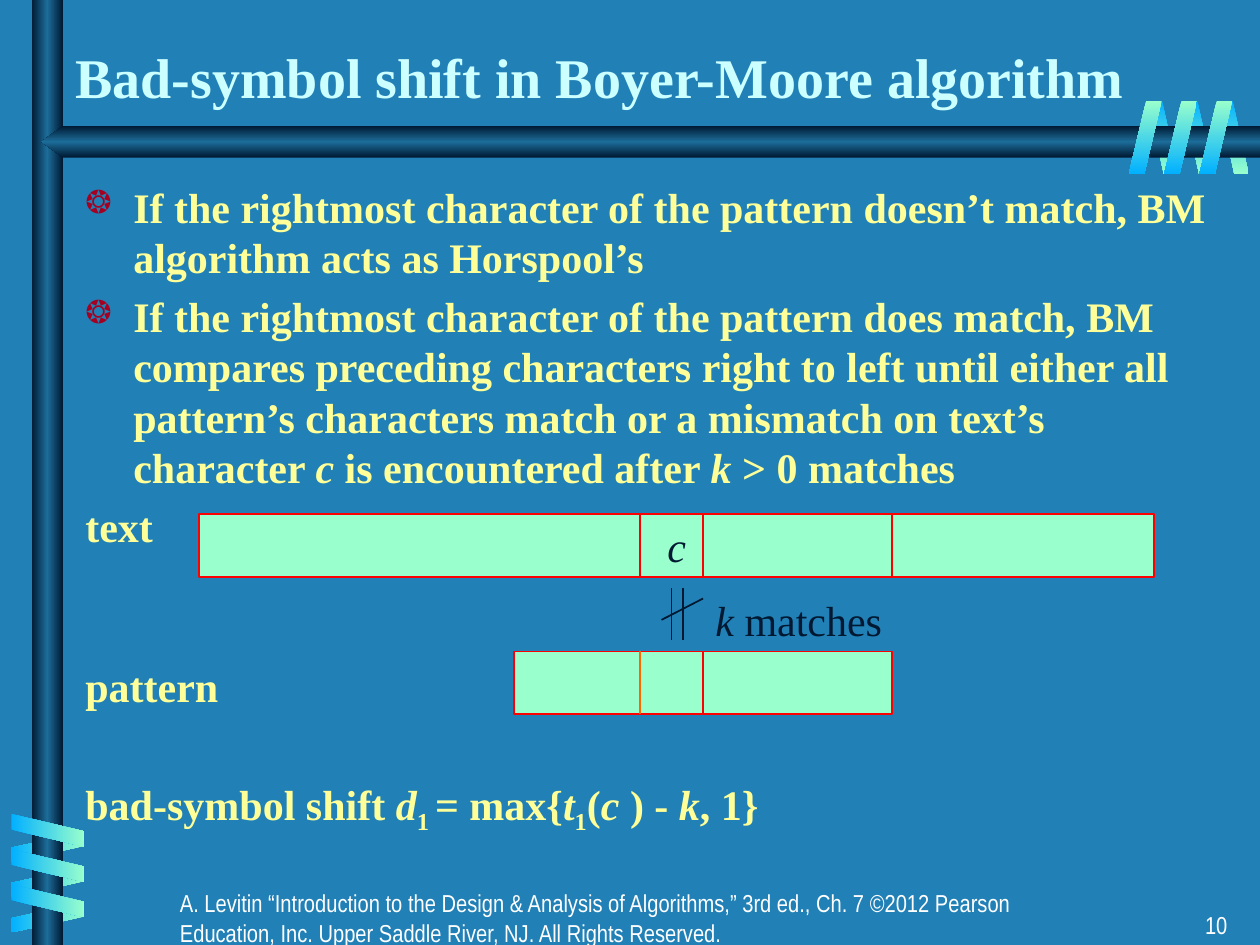
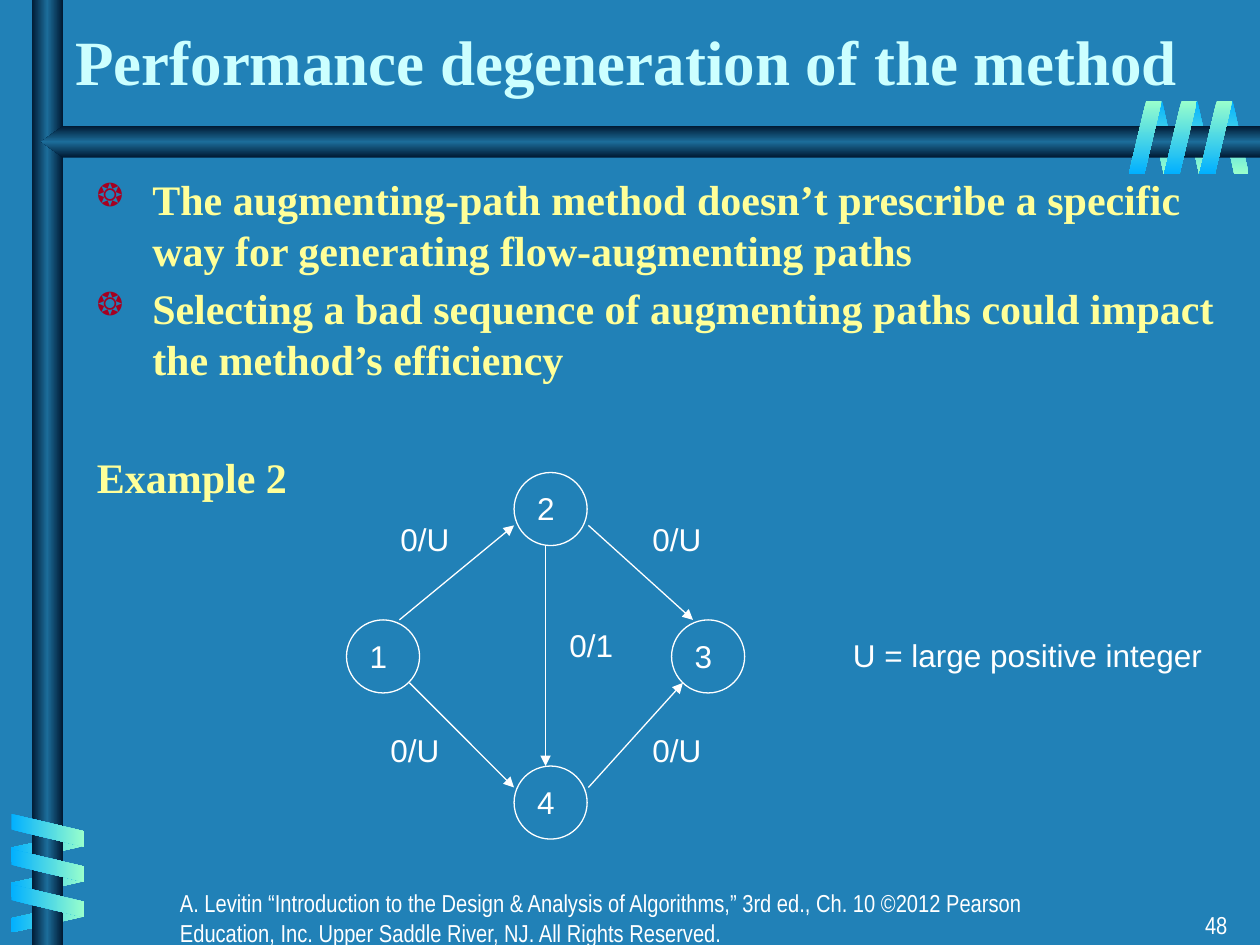
from copy import deepcopy
from dataclasses import dataclass
from typing import NamedTuple

from pptx import Presentation
from pptx.dml.color import RGBColor
from pptx.enum.shapes import MSO_CONNECTOR, MSO_SHAPE
from pptx.enum.text import MSO_ANCHOR, PP_ALIGN
from pptx.oxml.ns import qn
from pptx.util import Inches, Pt
from lxml.etree import SubElement

BLUE = RGBColor(0x21, 0x81, 0xB7)
NAVY = RGBColor(0x00, 0x19, 0x32)
STEEL = RGBColor(0x1C, 0x6D, 0x9A)
SKY = RGBColor(0x01, 0xB0, 0xFF)
MINT = RGBColor(0x99, 0xFF, 0xCC)
ICE = RGBColor(0xCC, 0xFF, 0xFF)
CREAM = RGBColor(0xFF, 0xFF, 0x99)
WHITE = RGBColor(0xFF, 0xFF, 0xFF)
RED = RGBColor(0xFF, 0x00, 0x00)
ORANGE = RGBColor(0xFF, 0x66, 0x00)
WINE = RGBColor(0xA5, 0x00, 0x21)
SERIF, SANS, NARROW = "Times New Roman", "Arial", "Arial Narrow"
GAP = 4.8


class Box(NamedTuple):
    left: float
    top: float
    wide: float
    high: float


class Bit(NamedTuple):
    words: str
    slant: bool = False
    drop: bool = False


class Para(NamedTuple):
    bits: list[Bit]
    mark: bool = False
    before: float = GAP


@dataclass(frozen=True)
class Band:
    kind: MSO_SHAPE
    box: Box
    tones: tuple
    angle: int
    turn: int = 0
    flip: bool = False
    adjust: float = 0
    count: int = 1
    across: float = 0
    down: float = 0


STEP = 0.28
SLANT = MSO_SHAPE.PARALLELOGRAM
STEEL_TONES = (NAVY, STEEL, NAVY)
BANDS = [
    Band(SLANT, Box(9.11, 0.8, 0.24, 0.58), (SKY, MINT), 90, 180, True, 0.53, 3, across=STEP),
    Band(SLANT, Box(0.26, 6.43, 0.24, 0.58), (MINT, SKY), 0, 90, True, 0.53, 3, down=STEP),
    Band(MSO_SHAPE.RECTANGLE, Box(0.25, 0, 0.25, 7.5), STEEL_TONES, 0),
    Band(MSO_SHAPE.PENTAGON, Box(0.33, 1, 9.67, 0.25), STEEL_TONES, 90, 0, True, 0.68),
    Band(SLANT, Box(0.25, 6.3, 0.26, 0.58), (SKY, MINT), 0, 270, False, 0.53, 3, down=STEP),
    Band(SLANT, Box(8.96, 0.8, 0.26, 0.58), (MINT, SKY), 90, 0, False, 0.53, 3, across=STEP),
]


def add_mark(para) -> None:
    props = para._p.get_or_add_pPr()
    color = SubElement(props, qn("a:buClr"))
    SubElement(color, qn("a:srgbClr"), val=str(WINE))
    SubElement(props, qn("a:buSzPct"), val="75000")
    SubElement(props, qn("a:buChar"), char="❂")


def write(shape, paras: list[Para] | str, *, face=SANS, size=18, color=WHITE, bold=False,
          align=PP_ALIGN.LEFT, anchor=MSO_ANCHOR.TOP, wrap=True, hang=0.0) -> None:
    if isinstance(paras, str):
        paras = [Para([Bit(paras)])]
    frame = shape.text_frame
    frame.word_wrap = wrap
    frame.vertical_anchor = anchor
    for place, item in enumerate(paras):
        para = frame.paragraphs[0] if place == 0 else frame.add_paragraph()
        para.alignment = align
        if place:
            para.space_before = Pt(item.before)
        if hang:
            props = para._p.get_or_add_pPr()
            props.set("marL", str(Inches(hang)))
            props.set("indent", str(-Inches(hang)))
        if item.mark:
            add_mark(para)
        for bit in item.bits:
            run = para.add_run()
            run.text = bit.words
            font = run.font
            font.name, font.size, font.bold = face, Pt(size), bold
            font.italic = bit.slant
            font.color.rgb = color
            if bit.drop:
                run._r.get_or_add_rPr().set("baseline", "-25000")


def add_text(slide, box: Box, paras: list[Para] | str, **style) -> None:
    write(slide.shapes.add_textbox(*map(Inches, box)), paras, **style)


def add_shape(slide, kind: MSO_SHAPE, box: Box, fill=None, edge=None, width=1.0):
    shape = slide.shapes.add_shape(kind, *map(Inches, box))
    shape.shadow.inherit = False
    if fill is None:
        shape.fill.background()
    else:
        shape.fill.solid()
        shape.fill.fore_color.rgb = fill
    if edge is None:
        shape.line.fill.background()
    else:
        shape.line.color.rgb = edge
        shape.line.width = Pt(width)
    return shape


def add_line(slide, start: tuple, end: tuple, color: RGBColor, width=1.0, arrow=False) -> None:
    line = slide.shapes.add_connector(MSO_CONNECTOR.STRAIGHT, *map(Inches, start + end))
    line.line.color.rgb = color
    line.line.width = Pt(width)
    props = line.element.spPr
    if arrow:
        SubElement(props.find(qn("a:ln")), qn("a:tailEnd"), type="triangle")
    SubElement(props, qn("a:effectLst"))


def add_blend(shape, tones: tuple, angle: int) -> None:
    fill = shape.fill
    fill.gradient()
    fill.gradient_angle = (360 - angle) % 360
    blend = shape.element.spPr.find(qn("a:gradFill"))
    blend.set("rotWithShape", "0")
    stops = blend.find(qn("a:gsLst"))
    while len(stops) < len(tones):
        stops.append(deepcopy(stops[0]))
    for place, (stop, tone) in enumerate(zip(fill.gradient_stops, tones)):
        stop.color.rgb = tone
        stop.position = place / (len(tones) - 1)


def add_band(slide, band: Band) -> None:
    left, top, wide, high = band.box
    for place in range(band.count):
        box = Box(left + place * band.across, top + place * band.down, wide, high)
        shape = add_shape(slide, band.kind, box)
        add_blend(shape, band.tones, band.angle)
        shape.rotation = band.turn
        if band.adjust:
            shape.adjustments[0] = band.adjust
        if band.flip:
            shape.element.spPr.find(qn("a:xfrm")).set("flipH", "1")


def add_base(deck, title: str, box: Box, size: int, part: int, page: int):
    slide = deck.slides.add_slide(deck.slide_layouts[6])
    for band in BANDS:
        add_band(slide, band)
    credit = (f"A. Levitin “Introduction to the Design & Analysis of Algorithms,” 3rd ed., "
              f"Ch. {part} ©2012 Pearson Education, Inc. Upper Saddle River, NJ. "
              "All Rights Reserved.")
    add_text(slide, Box(1.33, 7, 7, 0.33), credit, face=NARROW, size=14)
    add_text(slide, Box(7.76, 7.17, 2.08, 0.33), str(page), face=NARROW, size=14,
             align=PP_ALIGN.RIGHT)
    add_text(slide, box, title, face=SERIF, size=size, color=ICE, bold=True,
             anchor=MSO_ANCHOR.BOTTOM)
    return slide


def add_body(slide, box: Box, paras: list[Para], hang: float) -> None:
    add_text(slide, box, paras, face=SERIF, size=24, color=CREAM, bold=True, hang=hang)


def add_shift(deck) -> None:
    slide = add_base(deck, "Bad-symbol shift in Boyer-Moore algorithm",
                     Box(0.5, 0.17, 9.5, 0.75), 32, 7, 10)
    add_body(slide, Box(0.58, 1.39, 9.17, 5.36), [
        Para([Bit("If the rightmost character of the pattern doesn’t match, BM "
                  "algorithm acts as Horspool’s")], True),
        Para([Bit("If the rightmost character of the pattern does match, BM compares "
                  "preceding characters right to left until either all pattern’s "
                  "characters match or a mismatch on text’s character "),
              Bit("c", True), Bit(" is encountered after "), Bit("k ", True),
              Bit("> 0 matches")], True),
        Para([Bit("text")]),
        Para([Bit("pattern")], before=62.5),
        Para([Bit("bad-symbol shift "), Bit("d", True), Bit("1 ", drop=True), Bit("= max{"),
              Bit("t", True), Bit("1", drop=True), Bit("("), Bit("c ", True), Bit(") - "),
              Bit("k", True), Bit(", 1}")], before=38.5),
    ], 0.38)
    ink = dict(face=SERIF, size=24, color=NAVY)
    rows = [
        (Box(1.58, 4.08, 7.58, 0.5), [(5.08, RED), (5.58, RED), (7.08, RED)]),
        (Box(4.08, 5.17, 3, 0.5), [(5.58, RED), (5.08, ORANGE)]),
    ]
    bars = []
    for box, cuts in rows:
        bars.append(add_shape(slide, MSO_SHAPE.RECTANGLE, box, MINT, RED))
        for left, color in cuts:
            add_line(slide, (left, box.top), (left, box.top + box.high), color)
    write(bars[0], [Para([Bit("c", True)])], align=PP_ALIGN.CENTER,
          anchor=MSO_ANCHOR.MIDDLE, wrap=False, **ink)
    for left in (5.33, 5.42):
        add_line(slide, (left, 4.67), (left, 5.08), NAVY)
    add_line(slide, (5.25, 4.92), (5.58, 4.75), NAVY)
    add_text(slide, Box(5.58, 4.67, 1.58, 0.5),
             [Para([Bit("k ", True), Bit("matches")])], **ink)


def add_flow(deck) -> None:
    slide = add_base(deck, "Performance degeneration of the method",
                     Box(0.5, 0.25, 9.33, 0.58), 36, 10, 48)
    add_body(slide, Box(0.67, 1.33, 9.08, 5.75), [
        Para([Bit("The augmenting-path method doesn’t prescribe a specific way for "
                  "generating flow-augmenting paths")], True),
        Para([Bit("Selecting a bad sequence of augmenting paths could impact the "
                  "method’s efficiency")], True),
        Para([Bit("Example 2")], before=38.5),
    ], 0.44)
    nodes = {"4": (4.08, 6.08), "2": (4.08, 3.75), "1": (2.75, 4.92), "3": (5.33, 4.92)}
    for name, spot in nodes.items():
        node = add_shape(slide, MSO_SHAPE.OVAL, Box(*spot, 0.58, 0.58), edge=WHITE, width=0.75)
        write(node, name)
    edges = [
        ((3.25, 5.42), (4.08, 6.25), "0/U", (3, 5.75)),
        ((4.67, 6.25), (5.42, 5.42), "0/U", (5.08, 5.75)),
        ((3.17, 4.92), (4.08, 4.17), "0/U", (3.08, 4.08)),
        ((4.67, 4.17), (5.5, 4.92), "0/U", (5.08, 4.08)),
        ((4.33, 4.33), (4.33, 6.08), "0/1", (4.42, 4.92)),
    ]
    for start, end, label, spot in edges:
        add_line(slide, start, end, WHITE, 0.75, arrow=True)
        add_text(slide, Box(*spot, 0.59, 0.4), label, wrap=False)
    add_text(slide, Box(6.67, 5, 2.97, 0.4), "U = large positive integer", wrap=False)


def main() -> None:
    deck = Presentation()
    deck.slide_width, deck.slide_height = Inches(10), Inches(7.5)
    back = deck.slide_master.background.fill
    back.solid()
    back.fore_color.rgb = BLUE
    add_shift(deck)
    add_flow(deck)
    deck.save("out.pptx")


if __name__ == "__main__":
    main()
